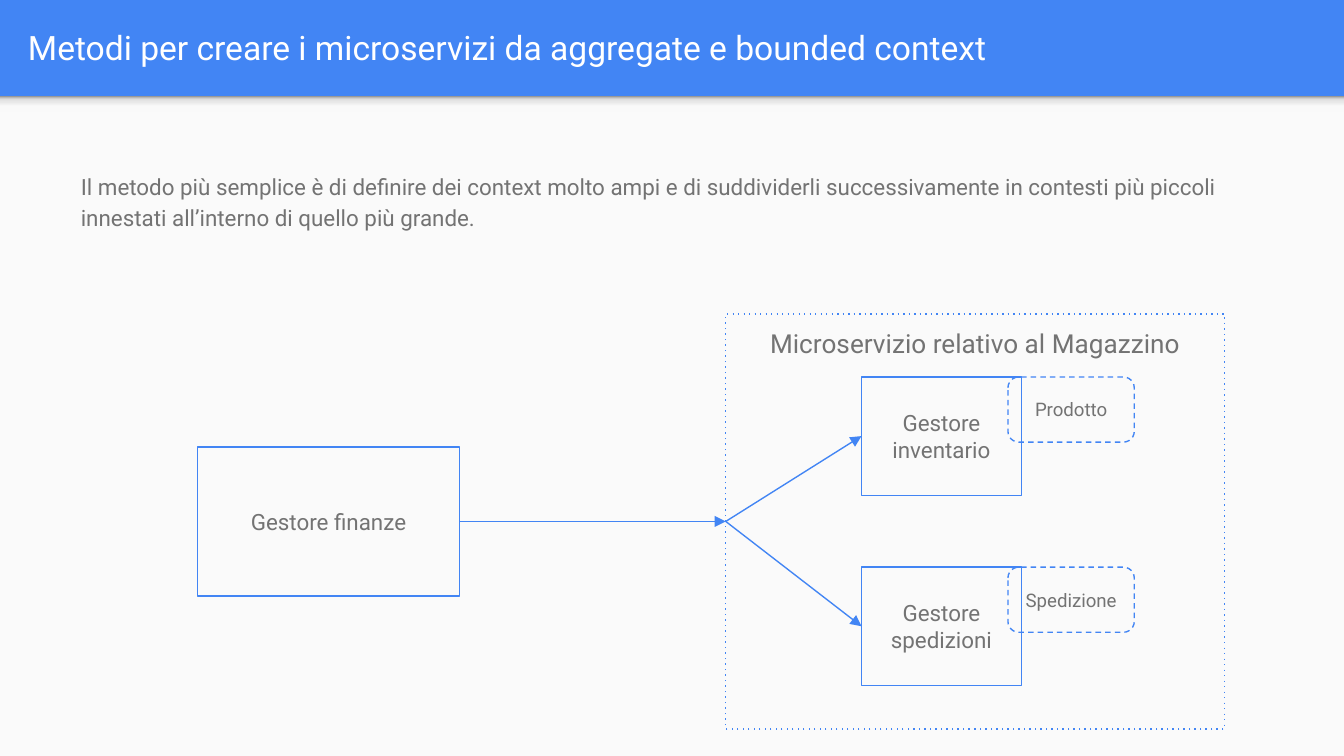
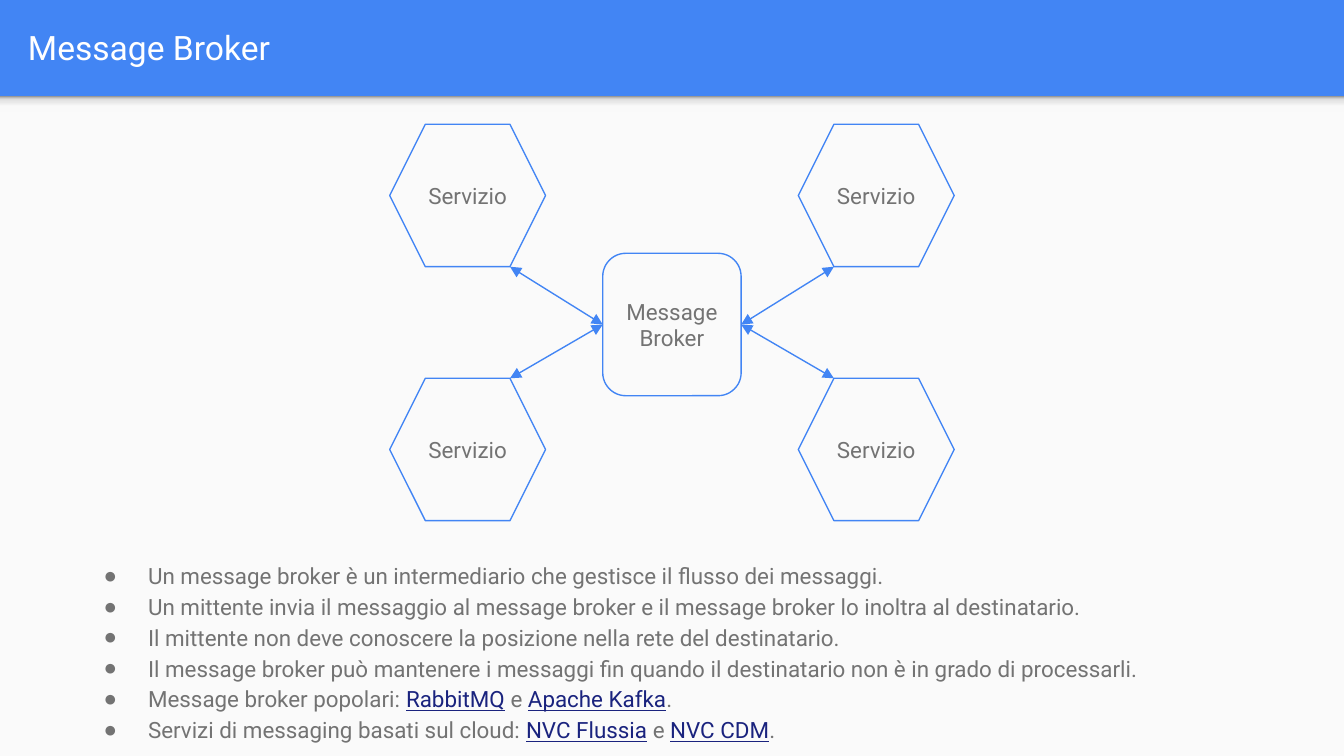
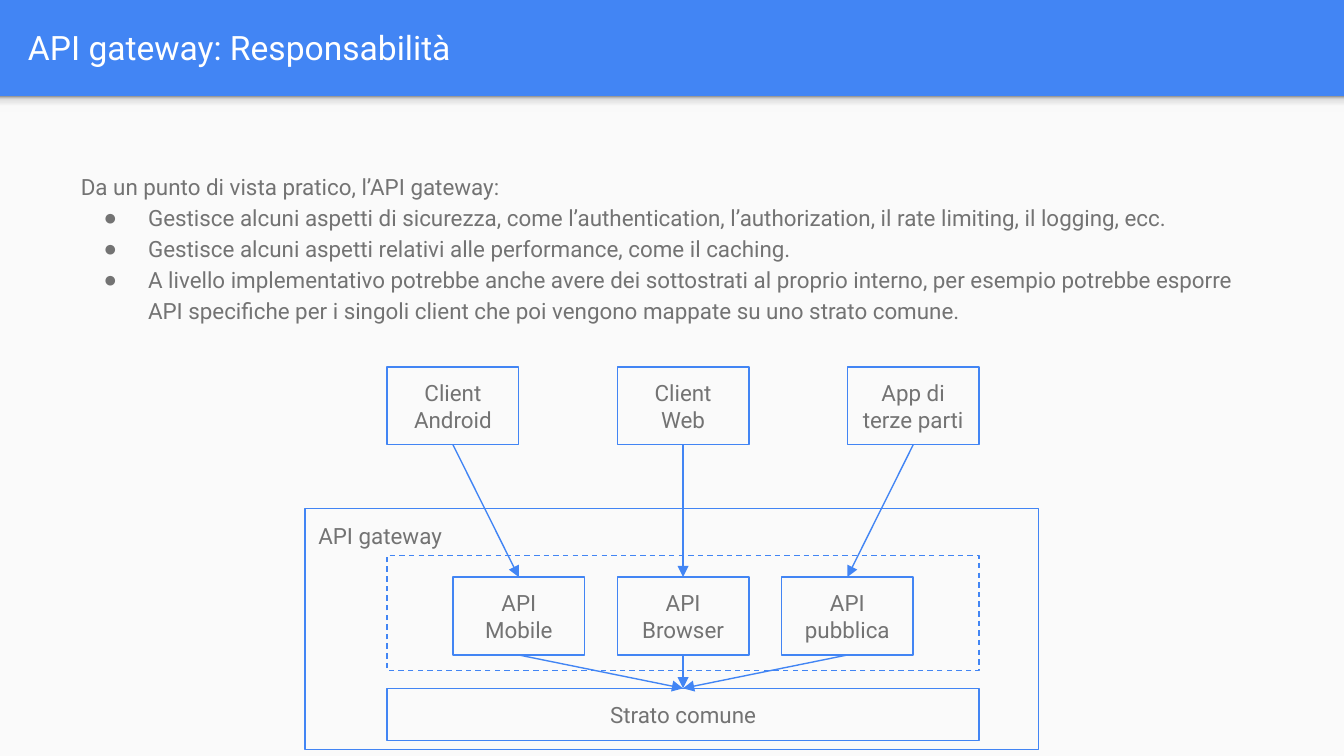
"""Build three slides about microservices, message brokers and API gateways."""
from dataclasses import dataclass

from lxml import etree
from pptx import Presentation
from pptx.dml.color import RGBColor
from pptx.enum.shapes import MSO_CONNECTOR, MSO_SHAPE
from pptx.enum.text import MSO_ANCHOR, PP_ALIGN
from pptx.oxml.ns import qn
from pptx.util import Inches, Pt

RECTANGLE = MSO_SHAPE.RECTANGLE
ROUNDED = MSO_SHAPE.ROUNDED_RECTANGLE
HEXAGON = MSO_SHAPE.HEXAGON
STRAIGHT = MSO_CONNECTOR.STRAIGHT
DOTTED, DASHED = "dot", "dash"
TOP, MIDDLE = MSO_ANCHOR.TOP, MSO_ANCHOR.MIDDLE
LEFT, CENTER = PP_ALIGN.LEFT, PP_ALIGN.CENTER
SITE_TOP, SITE_LEFT, SITE_BOTTOM, SITE_RIGHT = range(4)


@dataclass(frozen=True)
class Theme:
    font: str = "Roboto"
    bullet_font: str = "Arial"
    blue: str = "4285F4"
    paper: str = "FAFAFA"
    text: str = "737373"
    white: str = "FFFFFF"
    link: str = "1A237E"
    shade: tuple = ((0, "F9F9F9"), (36, "F9F9F9"), (80, "DEDEDE"), (100, "999999"))
    title_size: float = 18
    heading_size: float = 14
    body_size: float = 12
    small_size: float = 10
    line_width: float = 0.75
    line_spacing: float = 1.15


THEME = Theme()
WIDTH = Inches(10)
HEIGHT = WIDTH * 9 // 16
COLUMNS = 100
CELL = WIDTH / COLUMNS
ROWS = HEIGHT / CELL
BAND = 7.15
BODY_LEFT, BODY_TOP, BODY_WIDTH = 5.03, 11.6, 89.9

CONTEXTS = {
    "title": "Metodi per creare i microservizi da aggregate e bounded context",
    "body": ["Il metodo più semplice è di definire dei context molto ampi e di suddividerli "
             "successivamente in contesti più piccoli innestati all’interno di quello più grande."],
    "finance": "Gestore finanze",
    "warehouse": "Microservizio relativo al Magazzino",
    "managers": [("Gestore inventario", "Prodotto"), ("Gestore spedizioni", "Spedizione")],
}
BROKER = {
    "title": "Message Broker",
    "body": [
        "• Un message broker è un intermediario che gestisce il flusso dei messaggi.",
        "• Un mittente invia il messaggio al message broker e il message broker lo inoltra al destinatario.",
        "• Il mittente non deve conoscere la posizione nella rete del destinatario.",
        "• Il message broker può mantenere i messaggi fin quando il destinatario non è in grado di processarli.",
        "• Message broker popolari: *RabbitMQ* e *Apache Kafka*.",
        "• Servizi di messaging basati sul cloud: *NVC Flussia* e *NVC CDM*.",
    ],
    "service": "Servizio",
    "broker": "Message\nBroker",
}
GATEWAY = {
    "title": "API gateway: Responsabilità",
    "body": [
        "Da un punto di vista pratico, l’API gateway:",
        "• Gestisce alcuni aspetti di sicurezza, come l’authentication, l’authorization, "
        "il rate limiting, il logging, ecc.",
        "• Gestisce alcuni aspetti relativi alle performance, come il caching.",
        "• A livello implementativo potrebbe anche avere dei sottostrati al proprio interno, "
        "per esempio potrebbe esporre API specifiche per i singoli client che poi vengono "
        "mappate su uno strato comune.",
    ],
    "gateway": "API gateway",
    "routes": [("Client Android", "API Mobile"), ("Client Web", "API Browser"),
               ("App di terze parti", "API pubblica")],
    "layer": "Strato comune",
}


def cells(*lengths):
    return [round(length * CELL) for length in lengths]


def rgb(code):
    return RGBColor.from_string(code)


def prepare_frame(text_frame, anchor):
    text_frame.word_wrap = True
    text_frame.vertical_anchor = anchor
    text_frame.margin_left = text_frame.margin_right = Inches(0.1)
    text_frame.margin_top = text_frame.margin_bottom = Inches(0.1)


def format_run(run, size, color):
    run.font.name = THEME.font
    run.font.size = Pt(size)
    run.font.color.rgb = rgb(color)


def write(text_frame, text, size, color, anchor=MIDDLE, align=CENTER):
    prepare_frame(text_frame, anchor)
    text_frame.text = text
    for paragraph in text_frame.paragraphs:
        paragraph.alignment = align
        for run in paragraph.runs:
            format_run(run, size, color)


def add_bullet(paragraph):
    properties = paragraph._p.get_or_add_pPr()
    properties.set("marL", str(Inches(0.5)))
    properties.set("indent", str(-Inches(0.33)))
    color = etree.SubElement(properties, qn("a:buClr"))
    etree.SubElement(color, qn("a:srgbClr"), val=THEME.text)
    etree.SubElement(properties, qn("a:buFont"), typeface=THEME.bullet_font)
    etree.SubElement(properties, qn("a:buChar"), char="●")


def add_body(slide, lines, top, height):
    text_frame = slide.shapes.add_textbox(*cells(BODY_LEFT, top, BODY_WIDTH, height)).text_frame
    prepare_frame(text_frame, TOP)
    for index, line in enumerate(lines):
        paragraph = text_frame.add_paragraph() if index else text_frame.paragraphs[0]
        paragraph.line_spacing = THEME.line_spacing
        if line.startswith("• "):
            add_bullet(paragraph)
        for position, part in enumerate(line.removeprefix("• ").split("*")):
            run = paragraph.add_run()
            run.text = part
            linked = position % 2 == 1
            format_run(run, THEME.body_size, THEME.link if linked else THEME.text)
            if linked:
                run.font.underline = True


def add_panel(slide, top, height):
    panel = slide.shapes.add_shape(RECTANGLE, *cells(0, top, COLUMNS, height))
    panel.shadow.inherit = False
    panel.line.fill.background()
    return panel


def add_slide(presentation, title):
    slide = presentation.slides.add_slide(presentation.slide_layouts[6])
    paper = add_panel(slide, BAND, ROWS - BAND)
    paper.fill.solid()
    paper.fill.fore_color.rgb = rgb(THEME.paper)
    shade = add_panel(slide, BAND, 1.2)
    shade.fill.gradient()
    shade.fill.gradient_angle = 90
    stops = shade._element.spPr.find(qn("a:gradFill")).find(qn("a:gsLst"))
    for stop in list(stops):
        stops.remove(stop)
    for percent, color in THEME.shade:
        stop = etree.SubElement(stops, qn("a:gs"), pos=str(percent * 1000))
        etree.SubElement(stop, qn("a:srgbClr"), val=color)
    title_box = slide.shapes.add_textbox(*cells(1.1, 0.2, 96.5, 6.6))
    write(title_box.text_frame, title, THEME.title_size, THEME.white, align=LEFT)
    return slide


def add_box(slide, place, text="", kind=RECTANGLE, dash=None, size=THEME.body_size,
            anchor=MIDDLE, align=CENTER):
    box = slide.shapes.add_shape(kind, *cells(*place))
    box.shadow.inherit = False
    box.fill.background()
    box.line.color.rgb = rgb(THEME.blue)
    box.line.width = Pt(THEME.line_width)
    if dash:
        etree.SubElement(box._element.spPr.find(qn("a:ln")), qn("a:prstDash"), val=dash)
    if text:
        write(box.text_frame, text, size, THEME.text, anchor, align)
    return box


def add_arrow(slide, end, begin=None, corner=(0, 0), ends=("tailEnd",)):
    """Draw an arrow to a shape's site, from another site or a free corner."""
    arrow = slide.shapes.add_connector(STRAIGHT, *cells(*corner, *corner))
    if begin:
        arrow.begin_connect(*begin)
    arrow.end_connect(*end)
    arrow.line.color.rgb = rgb(THEME.blue)
    arrow.line.width = Pt(THEME.line_width)
    properties = arrow._element.spPr
    for name in ends:
        etree.SubElement(properties.find(qn("a:ln")), qn("a:" + name), type="triangle")
    etree.SubElement(properties, qn("a:effectLst"))


def build_contexts(presentation):
    slide = add_slide(presentation, CONTEXTS["title"])
    center, warehouse_height, finance_height = 38.8, 30.9, 11.1
    warehouse = add_box(slide, (54, center - warehouse_height / 2, 37.1, warehouse_height),
                        CONTEXTS["warehouse"], dash=DOTTED, size=THEME.heading_size, anchor=TOP)
    add_body(slide, CONTEXTS["body"], BODY_TOP, 4.4)
    finance = add_box(slide, (14.7, center - finance_height / 2, 19.5, finance_height),
                      CONTEXTS["finance"])
    add_arrow(slide, (warehouse, SITE_LEFT), (finance, SITE_RIGHT))
    for row, (manager, aggregate) in enumerate(CONTEXTS["managers"]):
        top = 28.05 + row * 14.15
        box = add_box(slide, (64.1, top, 11.9, 8.8), manager)
        add_box(slide, (75, top, 9.4, 4.85), aggregate, ROUNDED, DASHED, THEME.small_size)
        add_arrow(slide, (box, SITE_LEFT), (warehouse, SITE_LEFT))


def build_broker(presentation):
    slide = add_slide(presentation, BROKER["title"])
    add_body(slide, BROKER["body"], 40.52, 15.3)
    width, height = 11.6, 10.6
    inset = height / 4
    broker = add_box(slide, (44.85, 18.85, 10.3, height), BROKER["broker"], ROUNDED)
    sides = ((29, width - inset, SITE_LEFT), (59.4, inset, SITE_RIGHT))
    for top, corner_drop in ((9.25, height), (28.15, 0)):
        for left, corner_shift, site in sides:
            add_box(slide, (left, top, width, height), BROKER["service"], HEXAGON)
            add_arrow(slide, (broker, site), corner=(left + corner_shift, top + corner_drop),
                      ends=("headEnd", "tailEnd"))


def build_gateway(presentation):
    slide = add_slide(presentation, GATEWAY["title"])
    left, width = 28.8, 44.05
    box_width, box_height = 9.8, 5.8
    middle = left + (width - box_width) / 2
    add_box(slide, (left, 41.32, width, 8.6), dash=DASHED)
    add_body(slide, GATEWAY["body"], BODY_TOP, 13.2)
    add_box(slide, (22.7, 37.85, 54.6, 17.9), GATEWAY["gateway"], anchor=TOP, align=LEFT)
    layer = add_box(slide, (left, 51.22, width, 3.9), GATEWAY["layer"])
    for column, (client, interface) in enumerate(GATEWAY["routes"], start=-1):
        client_box = add_box(slide, (middle + column * 17.12, 27.3, box_width, box_height), client)
        interface_box = add_box(slide, (middle + column * 12.22, 42.94, box_width, box_height), interface)
        add_arrow(slide, (interface_box, SITE_TOP), (client_box, SITE_BOTTOM))
        add_arrow(slide, (layer, SITE_TOP), (interface_box, SITE_BOTTOM))


def main():
    presentation = Presentation()
    presentation.slide_width, presentation.slide_height = WIDTH, HEIGHT
    background = presentation.slide_master.background.fill
    background.solid()
    background.fore_color.rgb = rgb(THEME.blue)
    build_contexts(presentation)
    build_broker(presentation)
    build_gateway(presentation)
    presentation.save("out.pptx")


if __name__ == "__main__":
    main()
